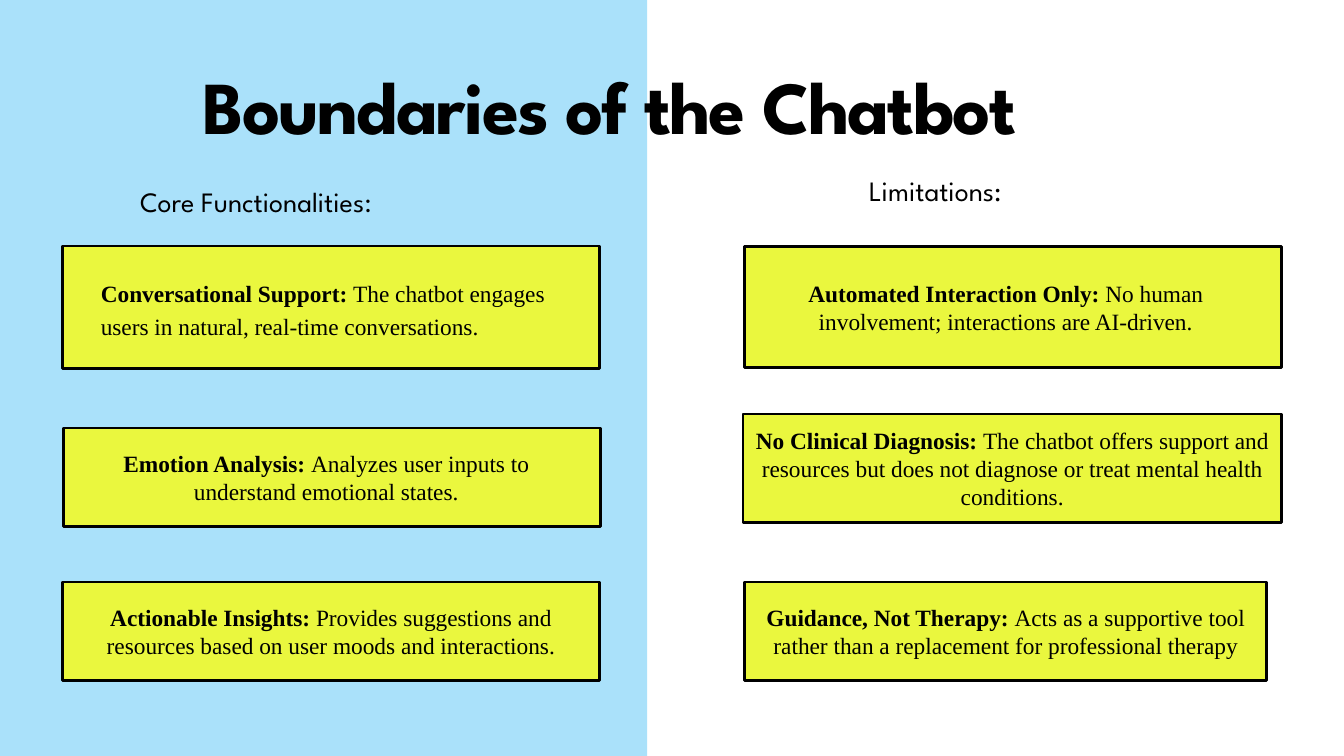
"""Build the slide on the chatbot's core functionalities and limitations."""
import pptx
import pptx.dml.color
import pptx.enum.shapes
import pptx.enum.text
import pptx.util

COLOURS = {"panel": "AAE1FA", "card": "EAF73E", "ink": "000000"}
HEADING_FONT = "League Spartan"
BODY_FONT = "Times New Roman"
Pt = pptx.util.Pt
ALIGN = pptx.enum.text.PP_ALIGN
ANCHOR = pptx.enum.text.MSO_ANCHOR

# Each card: left, top, width, height, left inset, right inset, term, explanation
LEFT_AT, RIGHT_AT, BOTTOM_TOP = 67, 798, 623.5
CARDS = [
    (LEFT_AT, 263.5, 575, 131, 41, 7, "Conversational Support: ",
     "The chatbot engages users in natural, real-time conversations."),
    (LEFT_AT + 1, 458.5, 575, 105.5, 20, 32, "Emotion Analysis: ",
     "Analyzes user inputs to understand emotional states."),
    (LEFT_AT, BOTTOM_TOP, 575, 105.5, 20, 20, "Actionable Insights: ",
     "Provides suggestions and resources based on user moods and interactions."),
    (RIGHT_AT, 264, 575, 130, 20, 36, "Automated Interaction Only: ",
     "No human involvement; interactions are AI-driven."),
    (RIGHT_AT - 2, 443.5, 577, 116, 0, 0, "No Clinical Diagnosis: ",
     "The chatbot offers support and resources but does not diagnose or treat "
     "mental health conditions."),
    (RIGHT_AT, BOTTOM_TOP, 559, 105.5, 20, 20, "Guidance, Not Therapy: ",
     "Acts as a supportive tool rather than a replacement for professional therapy"),
]


def rgb(name):
    """Return the named colour."""
    return pptx.dml.color.RGBColor.from_string(COLOURS[name])


def set_insets(frame, left=0, right=0):
    """Set side insets, with none above or below, and wrap the text."""
    frame.margin_left, frame.margin_right = Pt(left), Pt(right)
    frame.margin_top = frame.margin_bottom = 0
    frame.word_wrap = True


def add_run(paragraph, text, font, size, bold=False):
    """Add one formatted run and return it."""
    run = paragraph.add_run()
    run.text = text
    run.font.name, run.font.size, run.font.bold = font, Pt(size), bold
    run.font.color.rgb = rgb("ink")
    return run


def add_rectangle(slide, left, top, width, height, fill, outlined):
    """Add a flat filled rectangle, with or without an outline."""
    shape = slide.shapes.add_shape(
        pptx.enum.shapes.MSO_SHAPE.RECTANGLE, Pt(left), Pt(top), Pt(width), Pt(height))
    shape.shadow.inherit = False
    shape.fill.solid()
    shape.fill.fore_color.rgb = rgb(fill)
    if outlined:
        shape.line.color.rgb = rgb("ink")
        shape.line.width = Pt(3)
    else:
        shape.line.fill.background()
    return shape


def add_card(slide, left, top, width, height, inset_left, inset_right, term, explanation):
    """Add a card with a bold term and its explanation."""
    card = add_rectangle(slide, left, top, width, height, "card", True)
    frame = card.text_frame
    set_insets(frame, inset_left, inset_right)
    frame.vertical_anchor = ANCHOR.MIDDLE
    paragraph = frame.paragraphs[0]
    paragraph.alignment = ALIGN.CENTER
    add_run(paragraph, term, BODY_FONT, 25, True)
    add_run(paragraph, explanation, BODY_FONT, 25)
    return paragraph


def add_label(slide, left, top, width, parts):
    """Add a column label from (text, font) parts."""
    box = slide.shapes.add_textbox(Pt(left), Pt(top), Pt(width), Pt(44))
    box.text_frame.word_wrap = True
    for text, font in parts:
        add_run(box.text_frame.paragraphs[0], text, font, 30)


def set_title(slide, text):
    """Place and format the title placeholder."""
    title = slide.shapes.title
    title.left, title.top, title.width, title.height = Pt(34), Pt(40), Pt(1238), Pt(115)
    frame = title.text_frame
    set_insets(frame)
    frame.auto_size = pptx.enum.text.MSO_AUTO_SIZE.NONE
    frame.vertical_anchor = ANCHOR.TOP
    paragraph = frame.paragraphs[0]
    paragraph.alignment = ALIGN.CENTER
    paragraph.line_spacing = Pt(120)
    paragraph.space_before = Pt(0)
    run = add_run(paragraph, text, HEADING_FONT, 80, True)
    run.font._element.set("spc", "-200")
    return title


def main():
    """Build and save the slide."""
    presentation = pptx.Presentation()
    presentation.slide_width, presentation.slide_height = Pt(1440), Pt(810)
    slide = presentation.slides.add_slide(presentation.slide_layouts[5])
    title = set_title(slide, "Boundaries of the Chatbot")
    panel = add_rectangle(slide, 0, 0, 693.5, 810, "panel", False)
    title.element.addprevious(panel.element)
    paragraphs = [add_card(slide, *card) for card in CARDS]
    paragraphs[0].alignment = ALIGN.LEFT
    paragraphs[0].line_spacing = Pt(35)
    add_label(slide, 143, 194.5, 444, [("Core Functionalities", HEADING_FONT), (":", "Calibri")])
    add_label(slide, 924, 182, 234, [("Limitations:", HEADING_FONT)])
    presentation.save("out.pptx")


if __name__ == "__main__":
    main()
